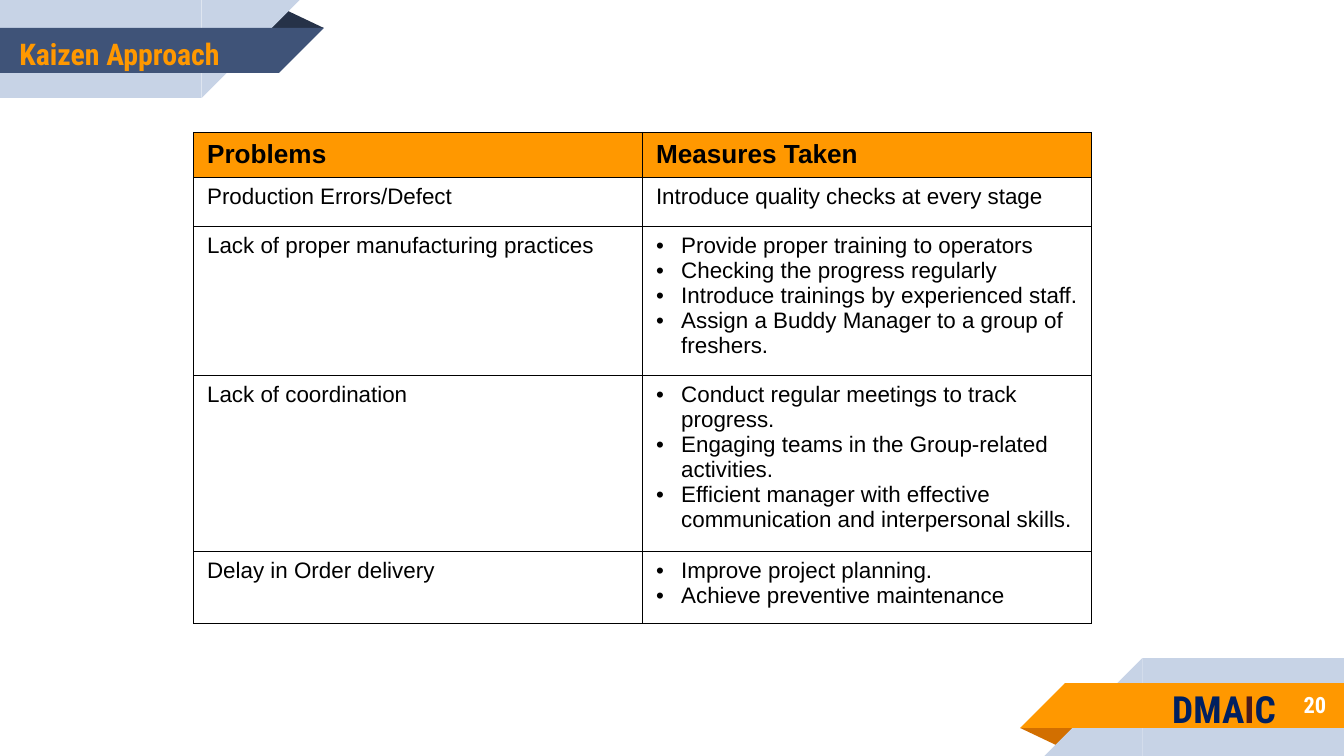
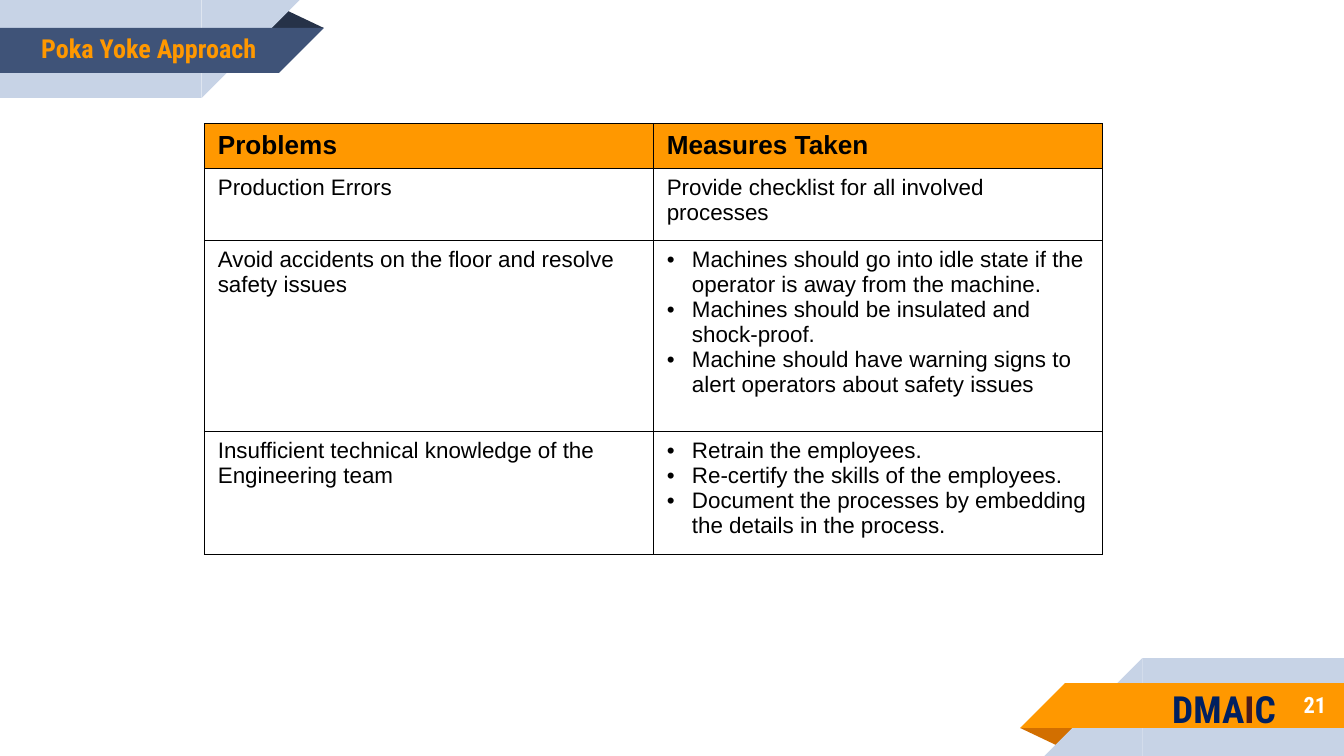
from pptx import Presentation
from pptx import util as u
from pptx.dml.color import RGBColor
from pptx.enum import shapes, text
from pptx.oxml.ns import qn
from lxml import etree

WIDTH, HEIGHT = 720, 405
HEADING_FONT, BODY_FONT = "Roboto Condensed", "Arial"
COLORS = {
    "pale": "C7D3E6", "blue": "3F5378", "dark": "263248",
    "orange": "FF9800", "rust": "D26F00", "navy": "002060",
    "maroon": "4B1A1A", "white": "FFFFFF", "black": "000000",
}
COLUMN_WIDTH = 240.5
BULLET_INDENT = 13.5
HEADERS = ["Problems", "Measures Taken"]

# Each table row: height, problem, measure (a list becomes bullets)
KAIZEN_ROWS = [
    (26.25, "Production Errors/Defect", "Introduce quality checks at every stage"),
    (79.75, "Lack of proper manufacturing practices", [
        "Provide proper training to operators",
        "Checking the progress regularly",
        "Introduce trainings by experienced staff.",
        "Assign a Buddy Manager to a group of freshers."]),
    (94.25, "Lack of coordination", [
        "Conduct regular meetings to track progress.",
        "Engaging teams in the Group-related activities.",
        "Efficient manager with effective communication and interpersonal skills."]),
    (39, "Delay in Order delivery", [
        "Improve project planning.",
        "Achieve preventive maintenance"]),
]
POKA_YOKE_ROWS = [
    (38.5, "Production Errors", "Provide checklist for all involved processes"),
    (102.5, "Avoid accidents on the floor and resolve safety issues", [
        "Machines should go into idle state if the operator is away from the machine.",
        "Machines should be insulated and shock-proof.",
        "Machine should have warning signs to alert operators about safety issues"]),
    (66, "Insufficient technical knowledge of the Engineering team", [
        "Retrain the employees.",
        "Re-certify the skills of the employees.",
        "Document the processes by embedding the details in the process."]),
]


def rgb(color):
    return RGBColor.from_string(COLORS[color])


def apply_format(target, values):
    for name, value in values.items():
        setattr(target, name, value)


def add_run(paragraph, content, color, **font_values):
    run = paragraph.add_run()
    run.text = content
    apply_format(run.font, font_values)
    run.font.color.rgb = rgb(color)


def add_label(slide, box, runs, size, align=text.PP_ALIGN.CENTER):
    """Bold heading text; runs are (content, color) pairs."""
    frame = slide.shapes.add_textbox(*map(u.Pt, box)).text_frame
    margins = ("margin_left", "margin_right", "margin_top", "margin_bottom")
    apply_format(frame, {
        "word_wrap": True, "vertical_anchor": text.MSO_ANCHOR.MIDDLE,
        **dict.fromkeys(margins, u.Pt(7.2))})
    paragraph = frame.paragraphs[0]
    paragraph.alignment = align
    for content, color in runs:
        add_run(paragraph, content, color, name=HEADING_FONT, size=u.Pt(size), bold=True)


# Corner ribbons: the bottom one is the top one turned about the slide centre
def add_ribbon(slide, fold, band, turned=False):
    kinds = shapes.MSO_SHAPE
    parts = [
        (kinds.ISOSCELES_TRIANGLE, (142.5, 5, 31, 10), 0, fold),
        (kinds.RECTANGLE, (0, 0, 108, 52.5), 0, "pale"),
        (kinds.RIGHT_TRIANGLE, (108, 0, 52.5, 52.5), 90, "pale"),
        (kinds.RECTANGLE, (0, 15, 149.5, 24), 0, band),
        (kinds.RIGHT_TRIANGLE, (149.5, 15, 24, 24), 90, band),
    ]
    for kind, (left, top, width, height), rotation, color in parts:
        if turned:
            left, top = WIDTH - left - width, HEIGHT - top - height
            rotation += 180
        shape = slide.shapes.add_shape(kind, *map(u.Pt, (left, top, width, height)))
        shape.rotation = rotation
        shape.shadow.inherit = False
        shape.fill.solid()
        shape.fill.fore_color.rgb = rgb(color)
        shape.line.fill.background()
        if kind == kinds.ISOSCELES_TRIANGLE:
            shape.adjustments[0] = 0.32


# Table parts
def add_borders(cell):
    properties = cell._tc.get_or_add_tcPr()
    for side in ("a:lnL", "a:lnR", "a:lnT", "a:lnB"):
        line = etree.SubElement(properties, qn(side), w=str(u.Pt(0.75)))
        fill = etree.SubElement(line, qn("a:solidFill"))
        etree.SubElement(fill, qn("a:srgbClr"), val=COLORS["black"])


def add_bullet(paragraph):
    properties = paragraph._p.get_or_add_pPr()
    indent = u.Pt(BULLET_INDENT)
    properties.set("marL", str(indent))
    properties.set("indent", str(-indent))
    color = etree.SubElement(properties, qn("a:buClr"))
    etree.SubElement(color, qn("a:srgbClr"), val=COLORS["black"])
    etree.SubElement(properties, qn("a:buFont"), typeface=BODY_FONT)
    etree.SubElement(properties, qn("a:buChar"), char="•")


def fill_cell(cell, content, fill, size, bold):
    add_borders(cell)
    if fill:
        cell.fill.solid()
        cell.fill.fore_color.rgb = rgb(fill)
    else:
        cell.fill.background()
    bulleted = isinstance(content, list)
    frame = cell.text_frame
    for index, line in enumerate(content if bulleted else [content]):
        paragraph = frame.add_paragraph() if index else frame.paragraphs[0]
        if bulleted:
            add_bullet(paragraph)
        add_run(paragraph, line, "black", name=BODY_FONT, size=u.Pt(size), bold=bold)


def add_measures_table(slide, left, top, body_rows, body_fill):
    rows = [(24, *HEADERS), *body_rows]
    height = sum(row[0] for row in rows)
    table = slide.shapes.add_table(
        len(rows), len(HEADERS),
        *map(u.Pt, (left, top, COLUMN_WIDTH * len(HEADERS), height))).table
    apply_format(table, {"first_row": False, "horz_banding": False})
    for column in table.columns:
        column.width = u.Pt(COLUMN_WIDTH)
    for row_index, (row_height, *contents) in enumerate(rows):
        table.rows[row_index].height = u.Pt(row_height)
        style = (body_fill, 12, False) if row_index else ("orange", 14, True)
        for column_index, content in enumerate(contents):
            fill_cell(table.cell(row_index, column_index), content, *style)


def add_approach_slide(presentation, number, title, title_box, title_size, table):
    slide = presentation.slides.add_slide(presentation.slide_layouts[6])
    add_ribbon(slide, "rust", "orange", turned=True)
    add_ribbon(slide, "dark", "blue")
    add_label(slide, (600, 365, 117.5, 25), [(str(number), "white")], 12,
              text.PP_ALIGN.RIGHT)
    add_measures_table(slide, *table)
    add_label(slide, title_box, [(title, "orange")], title_size)
    add_label(slide, (594.5, 365, 122.5, 29),
              [("DMA", "navy"), ("I", "maroon"), ("C", "navy")], 20)


def main():
    presentation = Presentation()
    presentation.slide_width = u.Pt(WIDTH)
    presentation.slide_height = u.Pt(HEIGHT)
    add_approach_slide(presentation, 20, "Kaizen Approach", (-21.5, 14, 171, 29), 16,
                       (103.75, 71, KAIZEN_ROWS, None))
    add_approach_slide(presentation, 21, "Poka Yoke Approach", (-7, 11, 173.5, 29), 14,
                       (109.5, 66.25, POKA_YOKE_ROWS, "white"))
    presentation.save("out.pptx")


if __name__ == "__main__":
    main()
